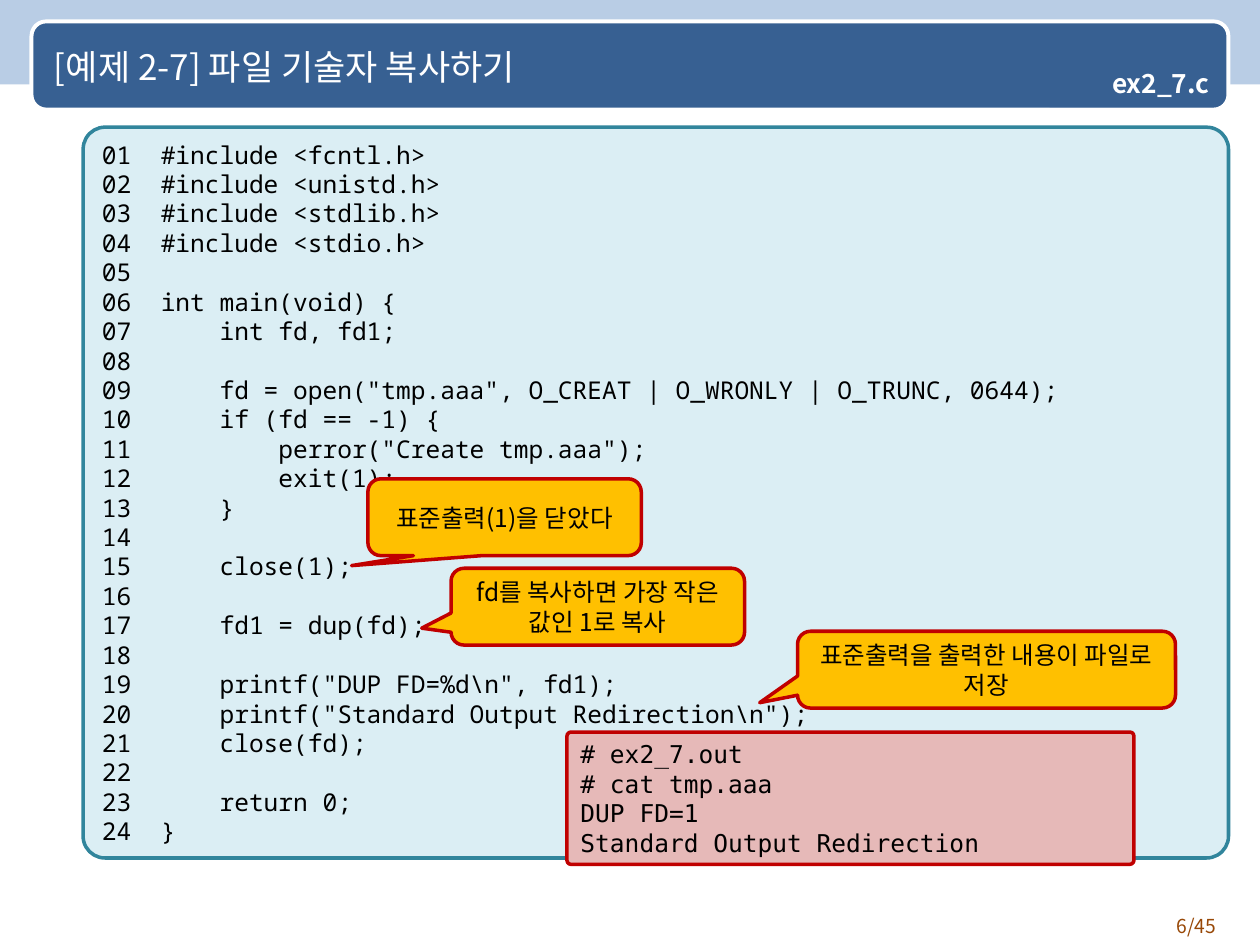
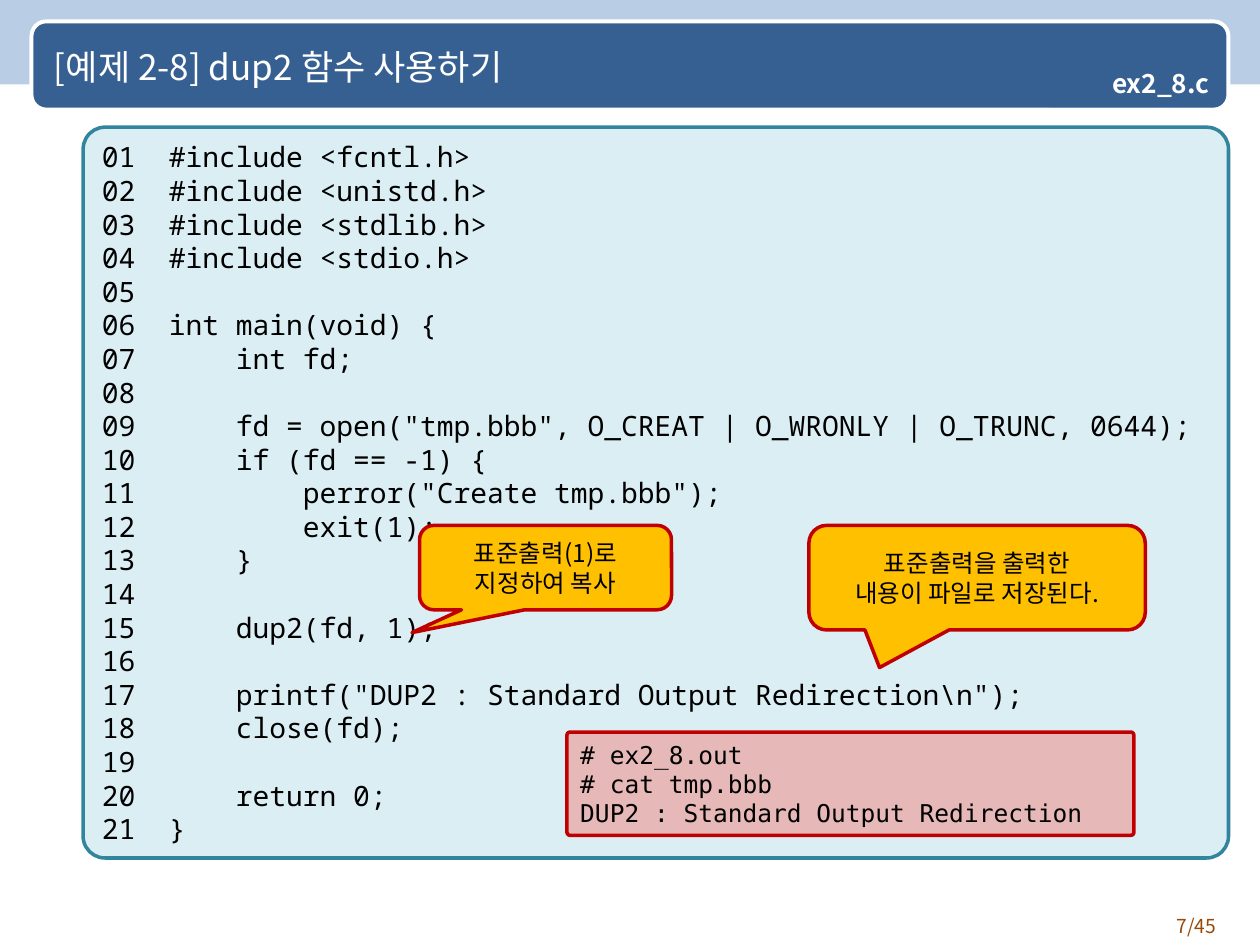
from lxml import etree
from pptx import Presentation
from pptx import util as u
from pptx.dml.color import RGBColor
from pptx.enum import shapes, text
from pptx.oxml.ns import qn

COLORS = {
    "band": "B9CDE5", "title": "376092", "white": "FFFFFF", "black": "000000",
    "page": "984807", "code": "DBEEF4", "code_line": "31859C",
    "output": "E6B9B8", "note": "FFC000", "red": "C00000",
}
SANS, MONO, OUTPUT_MONO = "Noto Sans CJK KR", "Noto Sans Mono", "DejaVu Sans Mono"
PAGE_COUNT = 45

INCLUDES = """\
#include <fcntl.h>
#include <unistd.h>
#include <stdlib.h>
#include <stdio.h>

int main(void) {
"""

OPEN_FILE = """
    fd = open("{0}", O_CREAT | O_WRONLY | O_TRUNC, 0644);
    if (fd == -1) {{
        perror("Create {0}");
        exit(1);
    }}

"""

FINISH = """\
    close(fd);

    return 0;
}"""

DUP_CODE = INCLUDES + "    int fd, fd1;\n" + OPEN_FILE.format("tmp.aaa") + r"""    close(1);

    fd1 = dup(fd);

    printf("DUP FD=%d\n", fd1);
    printf("Standard Output Redirection\n");
""" + FINISH

DUP2_CODE = INCLUDES + "    int fd;\n" + OPEN_FILE.format("tmp.bbb") + r"""    dup2(fd, 1);

    printf("DUP2 : Standard Output Redirection\n");
""" + FINISH

SLIDES = [
    {
        "page": 6,
        "title": "[예제 2-7] 파일 기술자 복사하기",
        "file": "ex2_7.c",
        "code": DUP_CODE,
        "code_size": 14,
        "output": ["# ex2_7.out", "# cat tmp.aaa", "DUP FD=1",
                   "Standard Output Redirection"],
        "output_height": 1.05,
        "notes": [
            (["표준출력(1)을 닫았다"], (2.92, 3.8, 2.17, 0.61), (-0.56, 0.63)),
            (["fd를 복사하면 가장 작은 값인 1로 복사"],
             (3.58, 4.51, 2.33, 0.61), (-0.6, 0.28)),
            (["표준출력을 출력한 내용이 파일로 저장"],
             (6.33, 5.01, 3, 0.61), (-0.6, 0.43)),
        ],
    },
    {
        "page": 7,
        "title": "[예제 2-8] dup2 함수 사용하기",
        "file": "ex2_8.c",
        "code": DUP2_CODE,
        "code_size": 16,
        "output": ["# ex2_8.out", "# cat tmp.bbb",
                   "DUP2 : Standard Output Redirection"],
        "output_height": 0.82,
        "notes": [
            (["표준출력을 출력한", "내용이 파일로 저장된다."],
             (6.42, 4.17, 2.67, 0.83), (-0.29, 0.86)),
            (["표준출력(1)로", "지정하여 복사"],
             (3.33, 4.17, 2, 0.67), (-0.53, 0.77)),
        ],
    },
]

SHAPE = shapes.MSO_SHAPE
ALIGN = text.PP_ALIGN
MIDDLE, TOP = text.MSO_ANCHOR.MIDDLE, text.MSO_ANCHOR.TOP


def rgb(name):
    return RGBColor.from_string(COLORS[name])


def add_box(s, kind, at, fill, line=None, width=2, adjust=()):
    sp = s.shapes.add_shape(kind, *map(u.Inches, at))
    sp.shadow.inherit = False
    sp.fill.solid()
    sp.fill.fore_color.rgb = rgb(fill)
    if line:
        sp.line.color.rgb = rgb(line)
        sp.line.width = u.Pt(width)
    else:
        sp.line.fill.background()
    for i, value in enumerate(adjust):
        sp.adjustments[i] = value
    return sp


def write(sp, lines, size, font=SANS, color="black", align=ALIGN.LEFT,
          anchor=MIDDLE, bold=False):
    tf = sp.text_frame
    tf.word_wrap = True
    tf.vertical_anchor = anchor
    for i, line in enumerate(lines):
        p = tf.paragraphs[0] if i == 0 else tf.add_paragraph()
        p.text = line
        p.alignment = align
        p.font.size = u.Pt(size)
        p.font.name = font
        p.font.bold = bold
        p.font.color.rgb = rgb(color)
        props = p._p.pPr.find(qn("a:defRPr"))
        etree.SubElement(props, qn("a:ea")).set("typeface", font)
    return tf


def add_text(s, at, line, size, color, **style):
    sp = s.shapes.add_textbox(*map(u.Inches, at))
    write(sp, [line], size, color=color, **style)


def add_frame(s, title, page):
    add_box(s, SHAPE.RECTANGLE, (0, 0, 10, 0.67), "band")
    add_box(s, SHAPE.ROUNDED_RECTANGLE, (0.25, 0.17, 9.5, 0.7), "title",
            "white", 2.25)
    add_text(s, (8.92, 7.21, 0.83, 0.29), f"{page}/{PAGE_COUNT}", 11, "page",
             align=ALIGN.RIGHT, anchor=TOP)
    add_text(s, (0.33, 0.19, 9.25, 0.67), title, 20, "white")


def add_code(s, code, size):
    sp = add_box(s, SHAPE.ROUNDED_RECTANGLE, (0.66, 1.01, 9.09, 5.8), "code",
                 "code_line", adjust=[0.03])
    numbered = [f"{n:02}  {line}".rstrip()
                for n, line in enumerate(code.split("\n"), 1)]
    write(sp, numbered, size, MONO)


def add_output(s, lines, height):
    sp = add_box(s, SHAPE.ROUNDED_RECTANGLE, (4.5, 5.81, 4.5, height), "output",
                 "red", adjust=[0.03])
    write(sp, lines, 14, OUTPUT_MONO)


def add_note(s, lines, at, tip):
    sp = add_box(s, SHAPE.ROUNDED_RECTANGULAR_CALLOUT, at, "note", "red",
                 adjust=(*tip, 0.17))
    write(sp, lines, 14, align=ALIGN.CENTER)


def add_file_tag(s, name):
    sp = add_box(s, SHAPE.RECTANGLE, (8.33, 0.5, 1.33, 0.35), "title")
    tf = write(sp, [name], 15, color="white", align=ALIGN.RIGHT, bold=True)
    tf.margin_left = tf.margin_right = u.Inches(0.06)
    tf.margin_top = tf.margin_bottom = u.Inches(0.06)
    tf.paragraphs[0].line_spacing = 0.9


def main():
    prs = Presentation()
    prs.slide_width, prs.slide_height = u.Inches(10), u.Inches(7.5)
    for content in SLIDES:
        s = prs.slides.add_slide(prs.slide_layouts[6])
        add_frame(s, content["title"], content["page"])
        add_code(s, content["code"], content["code_size"])
        add_output(s, content["output"], content["output_height"])
        for note in content["notes"]:
            add_note(s, *note)
        add_file_tag(s, content["file"])
    prs.save("out.pptx")


if __name__ == "__main__":
    main()
